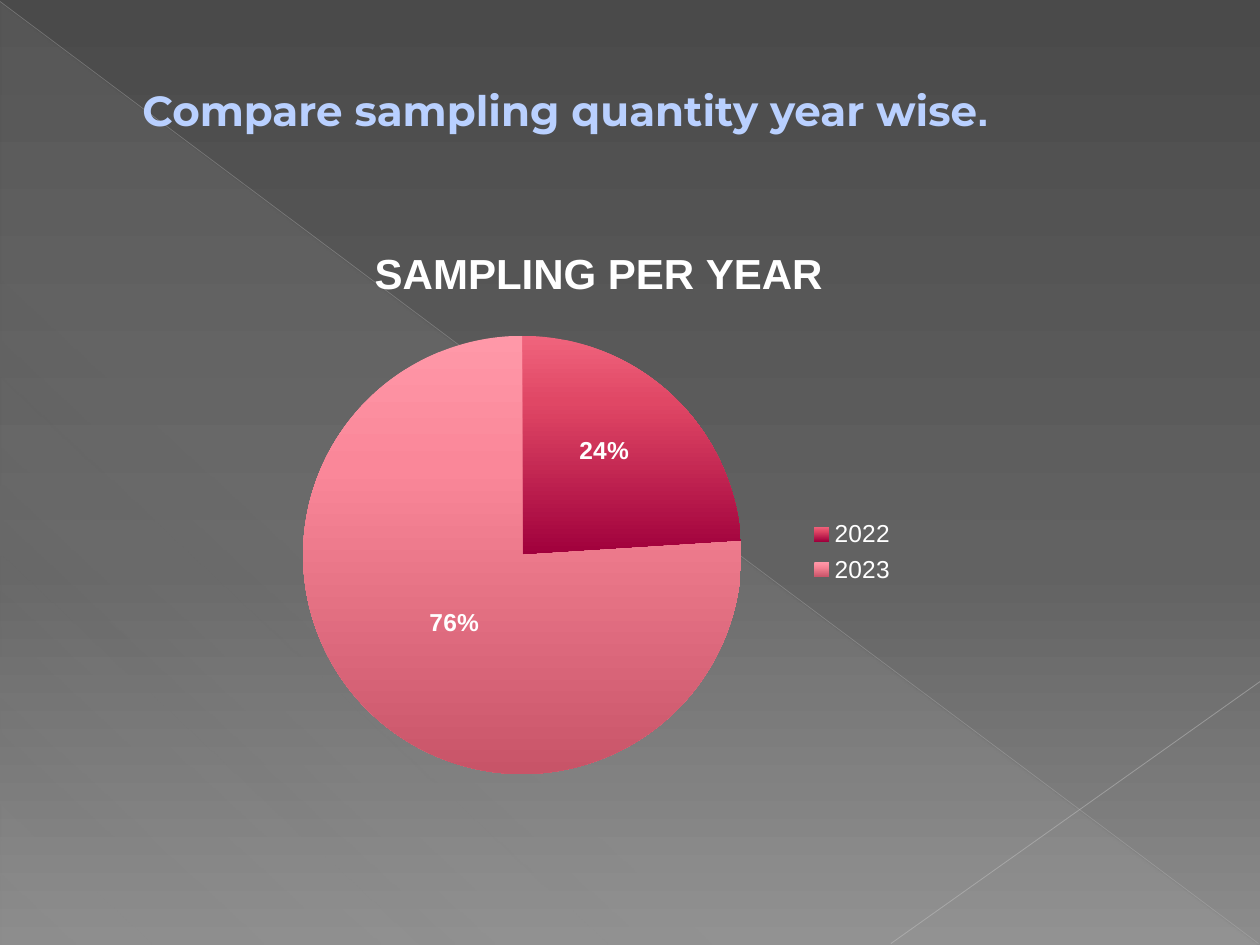
from copy import deepcopy
from dataclasses import dataclass

from lxml import etree
from pptx import Presentation
from pptx import util as u
from pptx.chart.data import CategoryChartData
from pptx.dml.color import RGBColor
from pptx.enum import chart as charts, shapes, text
from pptx.oxml import parse_xml
from pptx.oxml.ns import nsdecls, qn


@dataclass
class Stop:
    position: int
    colour: str
    opacity: int = 100


@dataclass
class Ray:
    start: tuple[float, float]
    end: tuple[float, float]
    colour: str
    width: float
    opacity: int


@dataclass
class Slice:
    year: str
    share: float
    label_shift: tuple[float, float]
    stops: list[Stop]


BACKGROUND = [Stop(0, "4A4A4A"), Stop(60, "626262"), Stop(100, "8C8C8C")]
TRIANGLE = [Stop(0, "D2D2D2", 10), Stop(70, "D2D2D2", 8), Stop(100, "D2D2D2", 1)]
RAYS = [
    Ray((0, 0.03), (25.37, 19.02), "BFBFBF", 0.39, 35),
    Ray((25.4, 13.74), (17.96, 19.02), "C6C6C6", 0.47, 45),
]
SLICES = [
    Slice("2022", 0.24, (0.01, -0.04),
          [Stop(0, "F0647D"), Stop(30, "E04765"), Stop(100, "A0003C")]),
    Slice("2023", 0.76, (0.01, -0.02),
          [Stop(0, "FF98A8"), Stop(30, "FA8799"), Stop(100, "C85468")]),
]


def rgb(colour: str) -> RGBColor:
    return RGBColor.from_string(colour)


def set_gradient(fill, stops: list[Stop], angle: int) -> None:
    fill.solid()
    entries = "".join(
        f'<a:gs pos="{stop.position * 1000}"><a:srgbClr val="{stop.colour}">'
        f'<a:alpha val="{stop.opacity * 1000}"/></a:srgbClr></a:gs>'
        for stop in stops
    )
    gradient = parse_xml(
        f'<a:gradFill {nsdecls("a")} rotWithShape="1"><a:gsLst>{entries}</a:gsLst>'
        f'<a:lin ang="{angle * 60000}" scaled="0"/></a:gradFill>'
    )
    holder = fill._xPr
    holder.replace(holder.find(qn("a:solidFill")), gradient)


def set_font(font, size: float, colour: str, name: str = "Arial", bold: bool = False) -> None:
    font.size = u.Pt(size)
    font.name = name
    font.bold = bold
    font.color.rgb = rgb(colour)


def set_layout(element, index: int, target: str, x: float, y: float, w: float, h: float) -> None:
    for old in element.findall(qn("c:layout")):
        element.remove(old)
    element.insert(index, parse_xml(
        f'<c:layout {nsdecls("c")}><c:manualLayout>{target}'
        '<c:xMode val="edge"/><c:yMode val="edge"/>'
        f'<c:x val="{x}"/><c:y val="{y}"/><c:w val="{w}"/><c:h val="{h}"/>'
        '</c:manualLayout></c:layout>'
    ))


def shift_label(labels, settings: list, index: int, shift: tuple[float, float]) -> None:
    label = parse_xml(
        f'<c:dLbl {nsdecls("c")}><c:idx val="{index}"/><c:layout><c:manualLayout>'
        f'<c:x val="{shift[0]}"/><c:y val="{shift[1]}"/>'
        '</c:manualLayout></c:layout></c:dLbl>'
    )
    label.extend(deepcopy(settings))
    labels._element.insert(index, label)


def draw_triangle(slide) -> None:
    shape = slide.shapes.add_shape(
        shapes.MSO_SHAPE.RIGHT_TRIANGLE, u.Cm(0.02), u.Cm(0.05), u.Cm(25.35), u.Cm(19)
    )
    shape.shadow.inherit = False
    shape.line.fill.background()
    set_gradient(shape.fill, TRIANGLE, 133)


def draw_ray(slide, ray: Ray) -> None:
    line = slide.shapes.add_connector(
        shapes.MSO_CONNECTOR.STRAIGHT, *map(u.Cm, ray.start + ray.end)
    )
    line.line.width = u.Pt(ray.width)
    line.line.color.rgb = rgb(ray.colour)
    properties = line._element.spPr
    colour = properties.find(".//" + qn("a:srgbClr"))
    etree.SubElement(colour, qn("a:alpha")).set("val", str(ray.opacity * 1000))
    etree.SubElement(properties, qn("a:effectLst"))


def draw_title(slide) -> None:
    box = slide.shapes.add_textbox(u.Cm(1.27), u.Cm(1.07), u.Cm(22.86), u.Cm(3.07))
    frame = box.text_frame
    frame.word_wrap = True
    frame.vertical_anchor = text.MSO_ANCHOR.MIDDLE
    frame.margin_left = u.Cm(1.6)
    frame.margin_bottom = u.Cm(0.9)
    paragraph = frame.paragraphs[0]
    for words, font in (("Compare sampling quantity year wise", "Montserrat"), (".", "Arial")):
        run = paragraph.add_run()
        run.text = words
        set_font(run.font, 24, "B9D0FF", font, True)


def draw_pie(slide) -> None:
    data = CategoryChartData(number_format="0%")
    data.categories = [item.year for item in SLICES]
    data.add_series("Series 1", [item.share for item in SLICES])
    chart = slide.shapes.add_chart(
        charts.XL_CHART_TYPE.PIE, u.Cm(4.87), u.Cm(4.44), u.Cm(14.4), u.Cm(12.27), data
    ).chart
    set_font(chart.font, 10, "FFFFFF", "Quicksand")

    chart.has_title = True
    run = chart.chart_title.text_frame.paragraphs[0].add_run()
    run.text = "SAMPLING PER YEAR"
    set_font(run.font, 24, "FFFFFF", bold=True)

    chart.has_legend = True
    legend = chart.legend
    legend.position = charts.XL_LEGEND_POSITION.RIGHT
    legend.include_in_layout = False
    set_font(legend.font, 14, "FFFFFF")
    set_layout(legend._element, 1, "", 0.78, 0.48, 0.15, 0.13)

    plot = chart.plots[0]
    plot.vary_by_categories = True
    set_layout(plot._element.getparent(), 0, '<c:layoutTarget val="inner"/>',
               0.086, 0.19, 0.614, 0.72)

    series = plot.series[0]
    labels = series.data_labels
    labels.show_percentage = True
    labels.show_value = False
    labels.number_format = "0%"
    labels.number_format_is_linked = False
    labels.position = charts.XL_LABEL_POSITION.CENTER
    set_font(labels.font, 14, "FFFFFF", bold=True)
    settings = [part for part in labels._element if part.tag != qn("c:showLeaderLines")]

    for index, item in enumerate(SLICES):
        point = series.points[index]
        set_gradient(point.format.fill, item.stops, 90)
        point.format.line.fill.background()
        shift_label(labels, settings, index, item.label_shift)


def main() -> None:
    presentation = Presentation()
    presentation.slide_width = u.Cm(25.4)
    presentation.slide_height = u.Cm(19.05)
    slide = presentation.slides.add_slide(presentation.slide_layouts[6])
    set_gradient(slide.background.fill, BACKGROUND, 90)
    draw_triangle(slide)
    for ray in RAYS:
        draw_ray(slide, ray)
    draw_title(slide)
    draw_pie(slide)
    presentation.save("out.pptx")


if __name__ == "__main__":
    main()
